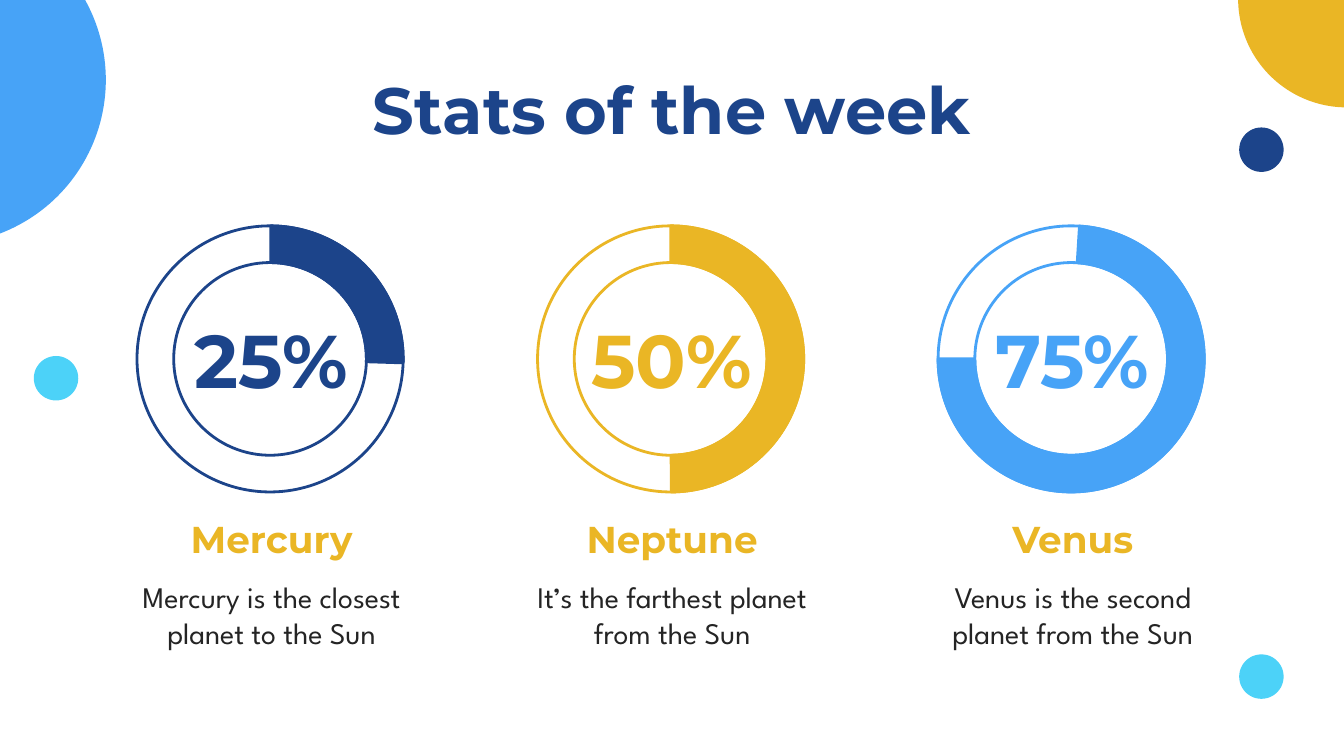
import pptx
import pptx.util
import pptx.dml.color
import pptx.enum.shapes
import pptx.enum.text

Cm = pptx.util.Cm
Pt = pptx.util.Pt
RGBColor = pptx.dml.color.RGBColor
SHAPE = pptx.enum.shapes.MSO_SHAPE

NAVY = RGBColor(0x1C, 0x44, 0x8A)
GOLD = RGBColor(0xEA, 0xB6, 0x25)
BLUE = RGBColor(0x47, 0xA3, 0xF7)
CYAN = RGBColor(0x4C, 0xD2, 0xF8)
INK = RGBColor(0x24, 0x24, 0x24)

HEAD = "Montserrat"
BODY = "League Spartan"
WIDTH, HEIGHT = 25.4, 14.29
TOP = 0.6
BAND = 0.138

STATS = [
    ("25%", "Mercury", "Mercury is the closest planet to the Sun", NAVY, 0.35, 91.7),
    ("50%", "Neptune", "It’s the farthest planet from the Sun", GOLD, 0.1, 179.7),
    ("75%", "Venus", "Venus is the second planet from the Sun", BLUE, 3.6, 270),
]


def add_text(slide, text, box, size, color, font=HEAD, bold=True):
    label = slide.shapes.add_textbox(*map(Cm, box))
    frame = label.text_frame
    frame.word_wrap = True
    frame.vertical_anchor = pptx.enum.text.MSO_ANCHOR.MIDDLE
    frame.margin_left = frame.margin_right = Cm(0.25)
    frame.margin_top = frame.margin_bottom = Cm(0.25)
    para = frame.paragraphs[0]
    para.alignment = pptx.enum.text.PP_ALIGN.CENTER
    run = para.add_run()
    run.text = text
    run.font.name = font
    run.font.size = Pt(size)
    run.font.bold = bold
    run.font.color.rgb = color


def add_form(slide, kind, box, fill=None, line=None, adjust=()):
    form = slide.shapes.add_shape(kind, *map(Cm, box))
    form.shadow.inherit = False
    for index, value in enumerate(adjust):
        form.adjustments[index] = value
    if fill is None:
        form.fill.background()
    else:
        form.fill.solid()
        form.fill.fore_color.rgb = fill
    if line is None:
        form.line.fill.background()
    else:
        form.line.color.rgb = line
        form.line.width = Pt(1.5)


def turn(angle):
    return angle % 360 * 0.6


def add_decor(slide, box):
    left, top, width, height = box
    right = left + width
    add_form(slide, SHAPE.PIE, (right - 2, top - 2.08, 4.11, 4.11), GOLD,
             adjust=(turn(90), turn(180)))
    add_form(slide, SHAPE.OVAL, (left - 4.22, top - 1.6, 6.22, 6.22), BLUE)
    dots = [(right - 1.98, 2.41, NAVY), (left + 0.64, 6.73, CYAN),
            (right - 1.98, 12.37, CYAN)]
    for x, y, color in dots:
        add_form(slide, SHAPE.OVAL, (x, top + y, 0.84, 0.84), color)


def add_ring(slide, box, color, start, end):
    add_form(slide, SHAPE.DONUT, box, line=color, adjust=(BAND,))
    add_form(slide, SHAPE.BLOCK_ARC, box, color, color,
             (turn(start - 90), turn(end - 90), BAND))


def add_stat(slide, box, stat):
    left, top, width, height = box
    value, name, note, color, start, end = stat
    add_ring(slide, (left + 0.59, top, 5.03, 5.03), color, start, end)
    add_text(slide, value, (left + 1.32, top + 1.35, 3.61, 2.31), 40, color)
    add_text(slide, name, (left, top + 5.28, width, 1.27), 20, GOLD)
    add_text(slide, note, (left, top + 6.55, width, height - 6.55), 16, INK,
             font=BODY, bold=False)


def main():
    deck = pptx.Presentation()
    deck.slide_width, deck.slide_height = Cm(WIDTH), Cm(HEIGHT)
    slide = deck.slides.add_slide(deck.slide_layouts[6])
    add_decor(slide, (0, 0, WIDTH, HEIGHT))
    add_text(slide, "Stats of the week", (2, 1.24, 21.4, 1.6), 35, NAVY)
    for index, stat in enumerate(STATS):
        add_stat(slide, (2 + 7.57 * index, 4.27, 6.27, 8.15), stat)
    deck.save("out.pptx")


if __name__ == "__main__":
    main()
